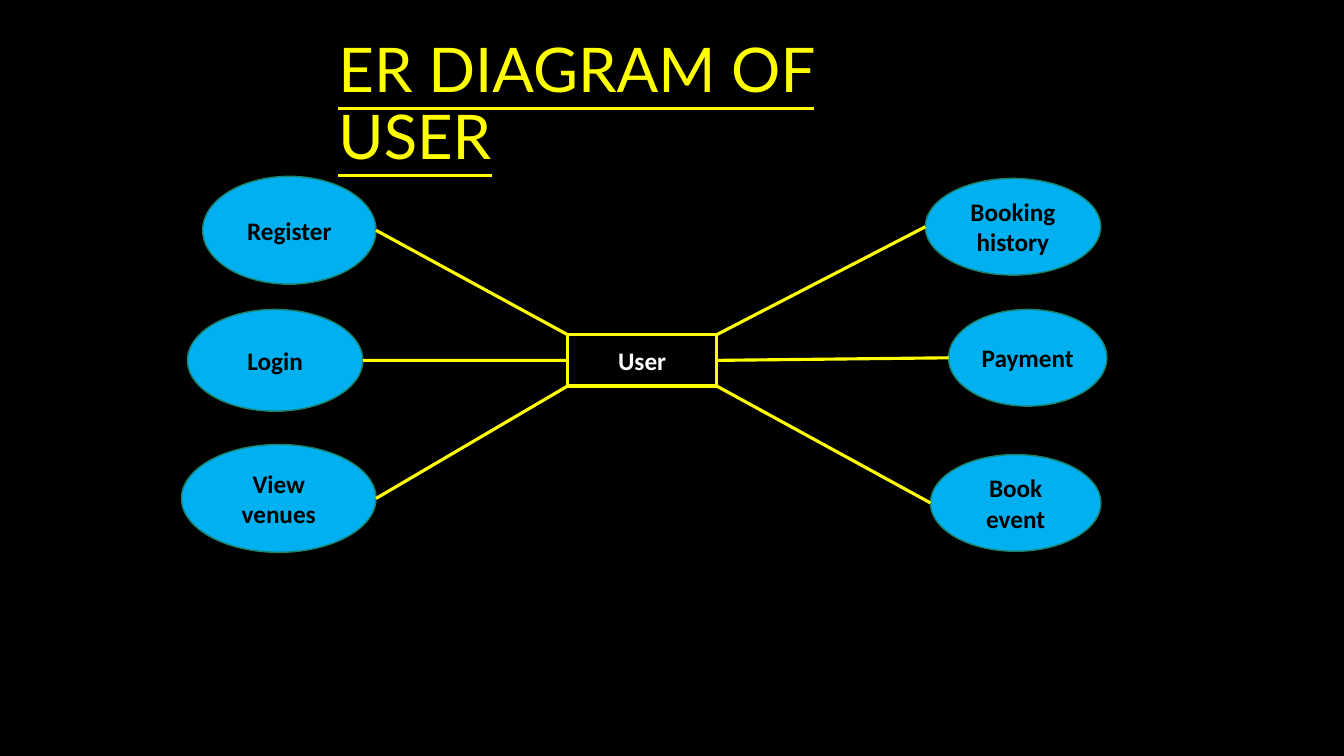
from dataclasses import dataclass

from lxml import etree
from pptx import Presentation
from pptx.dml.color import RGBColor
from pptx.enum.shapes import MSO_CONNECTOR, MSO_SHAPE
from pptx.enum.text import MSO_ANCHOR, PP_ALIGN
from pptx.oxml.ns import qn
from pptx.util import Inches, Pt

BLACK = RGBColor(0x00, 0x00, 0x00)
WHITE = RGBColor(0xFF, 0xFF, 0xFF)
YELLOW = RGBColor(0xFF, 0xFF, 0x00)
SKY = RGBColor(0x00, 0xB0, 0xF0)
TEAL = RGBColor(0x1E, 0x81, 0x68)

ELLIPSE, RECTANGLE = MSO_SHAPE.OVAL, MSO_SHAPE.RECTANGLE
STRAIGHT = MSO_CONNECTOR.STRAIGHT
MIDDLE, CENTER = MSO_ANCHOR.MIDDLE, PP_ALIGN.CENTER

# Places are percentages of the enclosing box: left, top, width, height
TITLE_PLACE = (24.45, 4.4, 48, 19.33)
USER_PLACE = (42.23, 44.27, 11.1, 6.8)
LEFT_ACTIONS = [
    ("Register", (15.08, 23.33, 12.9, 14.27)),
    ("Login", (13.95, 40.93, 13.05, 13.47)),
    ("View venues", (13.5, 58.8, 14.48, 14.27)),
]
RIGHT_ACTIONS = [
    ("Booking history", (68.85, 23.6, 13.05, 12.8)),
    ("Payment", (70.58, 40.93, 11.78, 12.8)),
    ("Book event", (69.23, 60.13, 12.68, 12.8)),
]


@dataclass
class Box:
    left: int
    top: int
    width: int
    height: int

    def inner(self, place):
        left, top, width, height = (share / 100 for share in place)
        return Box(int(self.left + left * self.width),
                   int(self.top + top * self.height),
                   int(width * self.width), int(height * self.height))

    def bounds(self):
        return self.left, self.top, self.width, self.height

    def point(self, across, down):
        return (int(self.left + across * self.width),
                int(self.top + down * self.height))


def style_font(font, name, size, color):
    font.name = name
    font.size = Pt(size)
    font.color.rgb = color


def add_title(page, box, text):
    title = page.shapes.add_textbox(*box.bounds())
    frame = title.text_frame
    frame.text = text
    frame.word_wrap = True
    frame.vertical_anchor = MIDDLE
    para = frame.paragraphs[0]
    para.line_spacing = 0.9
    font = para.runs[0].font
    style_font(font, "Lato", 44, YELLOW)
    font.underline = True


def add_node(page, box, kind, text, fill, line, line_width, color):
    node = page.shapes.add_shape(kind, *box.bounds())
    node.shadow.inherit = False
    node.fill.solid()
    node.fill.fore_color.rgb = fill
    node.line.color.rgb = line
    node.line.width = Pt(line_width)
    frame = node.text_frame
    frame.text = text
    frame.word_wrap = True
    frame.vertical_anchor = MIDDLE
    para = frame.paragraphs[0]
    para.alignment = CENTER
    font = para.runs[0].font
    style_font(font, "Calibri", 18, color)
    font.bold = True


def add_link(page, start, end):
    link = page.shapes.add_connector(STRAIGHT, *start, *end)
    link.line.color.rgb = YELLOW
    link.line.width = Pt(2.25)
    etree.SubElement(link._element.spPr, qn("a:effectLst"))


def add_diagram(page, box):
    user = box.inner(USER_PLACE)
    add_node(page, user, RECTANGLE, "User", BLACK, YELLOW, 2.25, WHITE)

    # Each side of the entity links its top, middle and bottom to an action
    for side, actions in enumerate((LEFT_ACTIONS, RIGHT_ACTIONS)):
        for row, (text, place) in enumerate(actions):
            action = box.inner(place)
            add_node(page, action, ELLIPSE, text, SKY, TEAL, 1, BLACK)
            add_link(page, user.point(side, row / 2),
                     action.point(1 - side, 0.5))


def main():
    deck = Presentation()
    deck.slide_width, deck.slide_height = Inches(13.33), Inches(7.5)
    page = deck.slides.add_slide(deck.slide_layouts[6])
    page.background.fill.solid()
    page.background.fill.fore_color.rgb = BLACK

    whole = Box(0, 0, deck.slide_width, deck.slide_height)
    add_title(page, whole.inner(TITLE_PLACE), "ER DIAGRAM OF USER")
    add_diagram(page, whole)
    deck.save("out.pptx")


if __name__ == "__main__":
    main()
